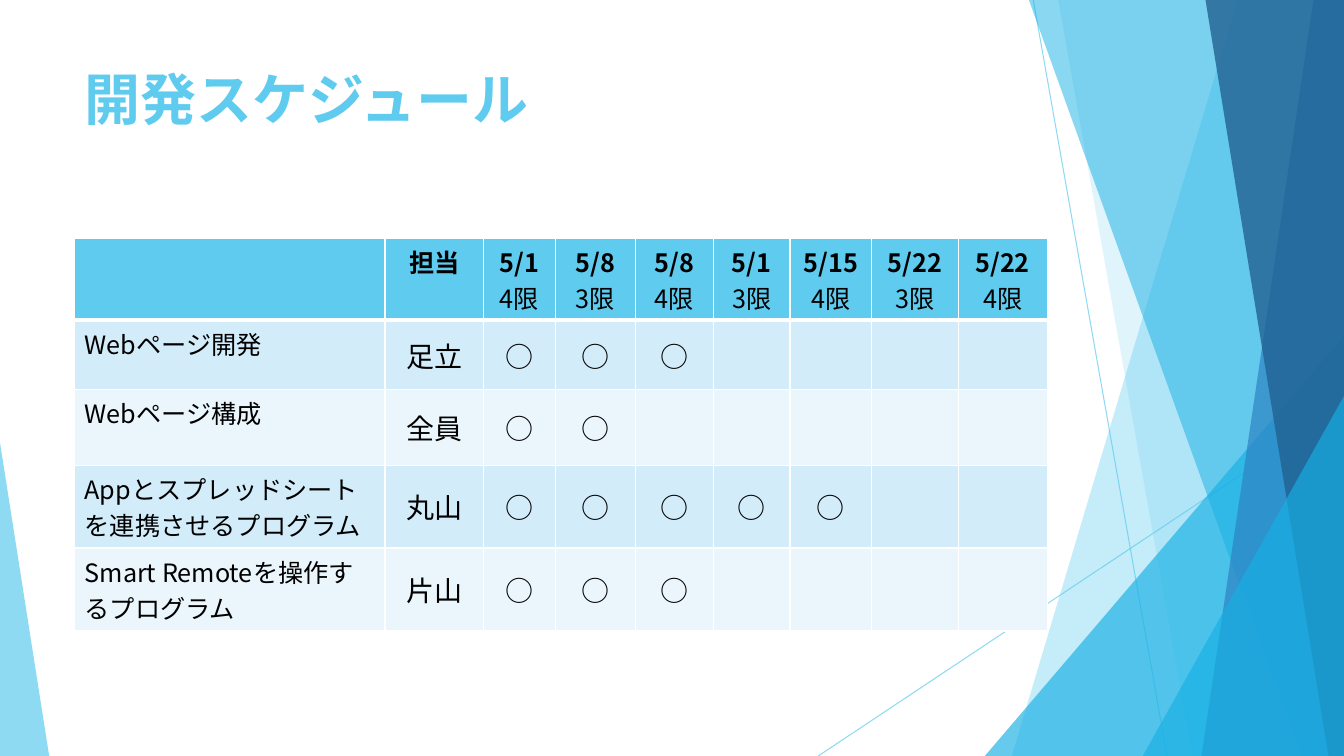
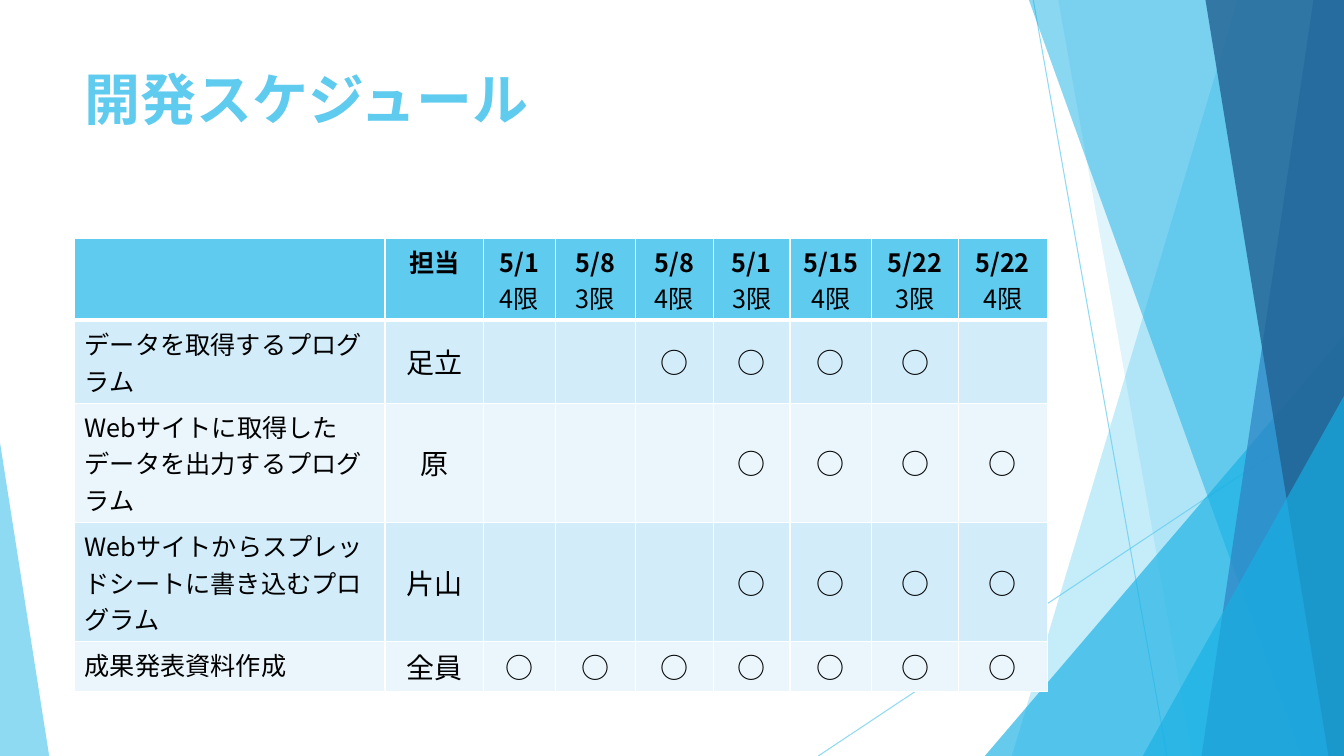
from dataclasses import dataclass

from lxml.etree import SubElement
from pptx import Presentation
from pptx.dml.color import RGBColor
from pptx.enum.lang import MSO_LANGUAGE_ID
from pptx.enum.shapes import MSO_CONNECTOR, MSO_SHAPE
from pptx.enum.text import MSO_ANCHOR, PP_ALIGN
from pptx.oxml.ns import qn
from pptx.util import Cm, Pt

SLIDE_W, SLIDE_H = 33.87, 19.05


@dataclass(frozen=True)
class Theme:
    font: str = "Noto Sans CJK JP"
    sky: str = "5FCBEF"
    cyan: str = "17B0E4"
    blue: str = "2E83C3"
    navy: str = "226292"
    row_dark: str = "D2ECF9"
    row_light: str = "EAF6FC"
    text: str = "000000"
    grid: str = "FFFFFF"
    title_size: int = 40
    table_size: int = 18
    mark_size: int = 20
    hairline: float = 0.75
    grid_width: int = 1
    header_rule: int = 3


class Deck:
    def __init__(self, theme):
        self.theme = theme
        self.presentation = Presentation()
        self.presentation.slide_width = Cm(SLIDE_W)
        self.presentation.slide_height = Cm(SLIDE_H)
        self.slide = None

    def new_slide(self, title):
        layout = self.presentation.slide_layouts[6]
        self.slide = self.presentation.slides.add_slide(layout)
        self.backdrop()
        self.title(title)

    # Paint and type
    def paint(self, fill, color, opacity):
        fill.solid()
        fill.fore_color.rgb = RGBColor.from_string(color)
        return str(opacity * 1000)

    def finish(self, shape, color, opacity):
        alpha = self.paint(shape.fill, color, opacity)
        shape.line.fill.background()
        shape.shadow.inherit = False
        solid = shape._element.spPr.find(qn("a:solidFill"))
        SubElement(solid[0], qn("a:alpha"), val=alpha)

    def format(self, paragraph, size, color, bold=False):
        for run in paragraph.runs:
            run.font.size = Pt(size)
            run.font.bold = bold
            run.font.color.rgb = RGBColor.from_string(color)
            run.font.name = self.theme.font
            run.font.language_id = MSO_LANGUAGE_ID.JAPANESE
            SubElement(run.font._element, qn("a:ea"), typeface=self.theme.font)

    # Facets around the slide edge
    def hairline(self, x1, y1, x2, y2):
        line = self.slide.shapes.add_connector(
            MSO_CONNECTOR.STRAIGHT, Cm(x1), Cm(y1), Cm(x2), Cm(y2))
        line.line.width = Pt(self.theme.hairline)
        alpha = self.paint(line.line.fill, self.theme.sky, 70)
        properties = line._element.spPr
        color = next(properties.iter(qn("a:srgbClr")))
        SubElement(color, qn("a:alpha"), val=alpha)
        SubElement(properties, qn("a:effectLst"))

    def band(self, top_x, bottom_x, color, opacity):
        """Full-height facet that reaches the right edge of the slide."""
        outline = self.slide.shapes.build_freeform(Cm(top_x), 0)
        right, bottom = Cm(SLIDE_W), Cm(SLIDE_H)
        outline.add_line_segments(
            [(right, 0), (right, bottom), (Cm(bottom_x), bottom)], close=True)
        self.finish(outline.convert_to_shape(), color, opacity)

    def corner(self, left, top, right, apex, color, opacity):
        """Right-angled facet that stands on the bottom edge."""
        facet = self.slide.shapes.add_shape(
            MSO_SHAPE.ISOSCELES_TRIANGLE,
            Cm(left), Cm(top), Cm(right - left), Cm(SLIDE_H - top))
        facet.adjustments[0] = apex
        self.finish(facet, color, opacity)

    def backdrop(self):
        theme = self.theme
        self.hairline(26.04, 0, 29.41, SLIDE_H)
        self.hairline(SLIDE_W, 10.24, 20.62, SLIDE_H)
        self.band(31.19, 25.5, theme.sky, 36)
        self.band(26.67, 30.05, theme.sky, 20)
        self.corner(24.82, 8.46, SLIDE_W, 1, theme.cyan, 66)
        self.band(25.93, 32.79, theme.cyan, 50)
        self.band(33.1, 30.28, theme.blue, 70)
        self.band(30.38, 33.48, theme.navy, 80)
        self.corner(28.8, 9.98, SLIDE_W, 1, theme.cyan, 66)
        self.corner(0, 11.15, 1.24, 0, theme.sky, 70)

    def title(self, text):
        box = self.slide.shapes.add_textbox(Cm(1.88), Cm(1.7), Cm(23.88), Cm(3.66))
        box.text_frame.word_wrap = True
        box.text_frame.text = text
        heading = box.text_frame.paragraphs[0]
        heading.line_spacing = 0.9
        self.format(heading, self.theme.title_size, self.theme.sky, bold=True)

    # Schedule table
    def cell(self, cell, row, text, size, centered, middle):
        theme = self.theme
        rule, thin = theme.header_rule, theme.grid_width
        widths = {"L": thin, "R": thin,
                  "T": rule if row == 1 else thin,
                  "B": rule if row == 0 else thin}
        properties = cell._tc.get_or_add_tcPr()
        for side, width in widths.items():
            border = SubElement(properties, qn(f"a:ln{side}"), w=str(Pt(width)))
            solid = SubElement(border, qn("a:solidFill"))
            SubElement(solid, qn("a:srgbClr"), val=theme.grid)
        stripe = theme.row_dark if row % 2 else theme.row_light
        cell.fill.solid()
        cell.fill.fore_color.rgb = RGBColor.from_string(
            stripe if row else theme.sky)
        cell.vertical_anchor = MSO_ANCHOR.MIDDLE if middle else MSO_ANCHOR.TOP
        cell.text_frame.text = text
        for index, paragraph in enumerate(cell.text_frame.paragraphs):
            paragraph.alignment = PP_ALIGN.CENTER if centered else PP_ALIGN.LEFT
            self.format(paragraph, size, theme.text, bold=row == 0 and index == 0)

    def schedule(self, tasks, heights):
        rows = [HEADER]
        for task, owner, first, last in tasks:
            marks = ["○" if first <= period <= last else ""
                     for period in range(1, len(PERIODS) + 1)]
            rows.append([task, owner, *marks])
        table = self.slide.shapes.add_table(
            len(rows), len(HEADER), Cm(1.88), Cm(6),
            Cm(sum(COLUMN_WIDTHS)), Cm(sum(heights))).table
        table.horz_banding = False
        for column, width in zip(table.columns, COLUMN_WIDTHS):
            column.width = Cm(width)
        for r, (texts, height) in enumerate(zip(rows, heights)):
            table.rows[r].height = Cm(height)
            for c, text in enumerate(texts):
                is_mark = r > 0 and c > 0
                size = self.theme.mark_size if is_mark else self.theme.table_size
                self.cell(table.cell(r, c), r, text, size,
                          centered=c > 0, middle=is_mark)


# Content
PERIODS = ["5/1\n4限", "5/8\n3限", "5/8\n4限", "5/1\n3限",
           "5/15\n4限", "5/22\n3限", "5/22\n4限"]
HEADER = ["", "担当", *PERIODS]
COLUMN_WIDTHS = [7.82, 2.49, 1.8, 2.03, 1.96, 1.93, 2.06, 2.18, 2.24]

# Each task: name, owner, first and last period
SCHEDULES = [
    ([("Webページ開発", "足立", 1, 3),
      ("Webページ構成", "全員", 1, 2),
      ("Appとスプレッドシートを連携させるプログラム", "丸山", 1, 5),
      ("Smart Remoteを操作するプログラム", "片山", 1, 3)],
     [2.07, 1.75, 1.9, 2.09, 2.09]),
    ([("データを取得するプログラム", "足立", 3, 6),
      ("Webサイトに取得したデータを出力するプログラム", "原", 4, 7),
      ("Webサイトからスプレッドシートに書き込むプログラム", "片山", 4, 7),
      ("成果発表資料作成", "全員", 1, 7)],
     [2.07, 2.09, 3, 3, 1.27]),
]


def main():
    deck = Deck(Theme())
    for tasks, heights in SCHEDULES:
        deck.new_slide("開発スケジュール")
        deck.schedule(tasks, heights)
    deck.presentation.save("out.pptx")


if __name__ == "__main__":
    main()
